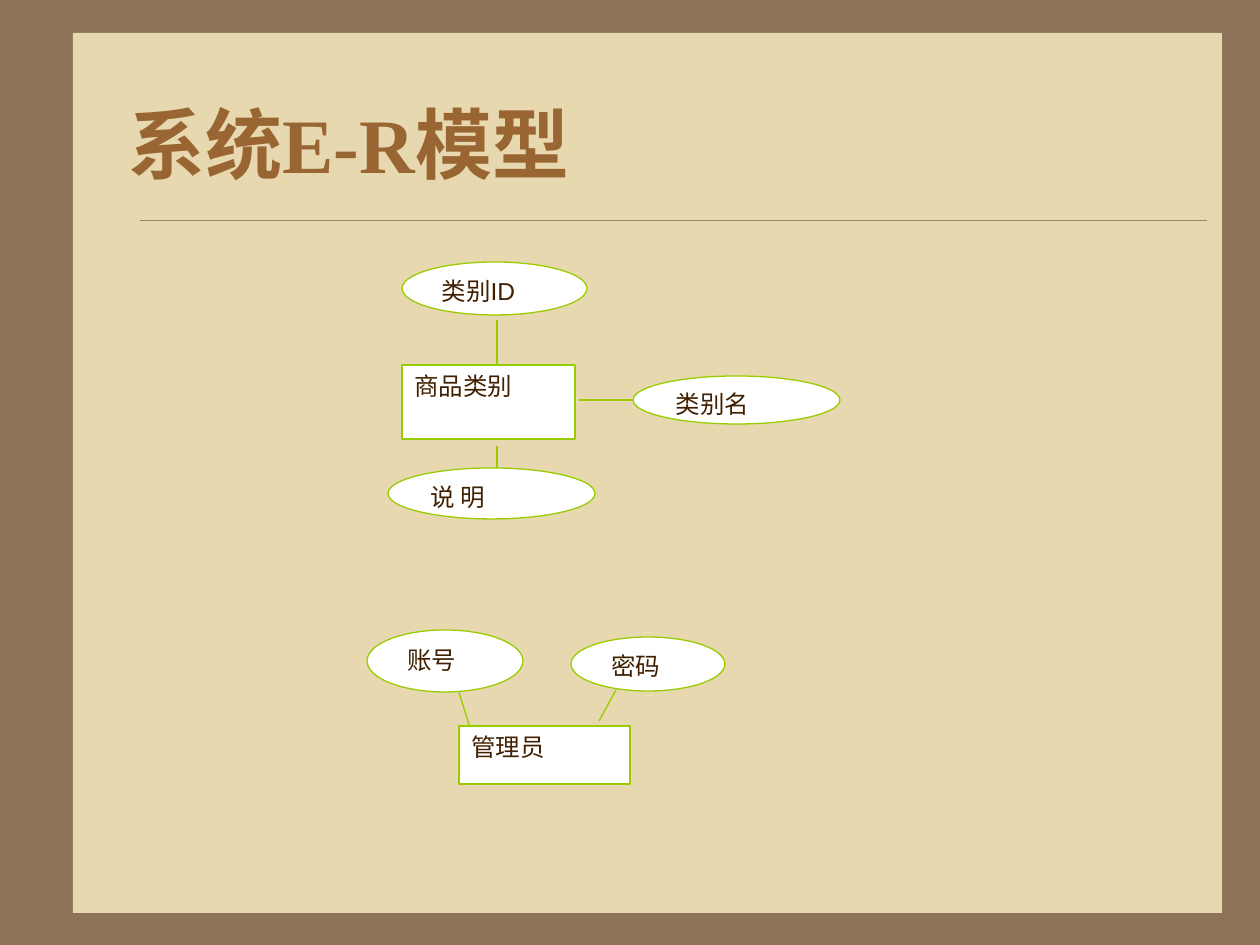
from dataclasses import dataclass

from lxml import etree
from pptx import Presentation
from pptx.dml.color import RGBColor
from pptx.enum.shapes import MSO_CONNECTOR, MSO_SHAPE
from pptx.enum.text import MSO_ANCHOR, MSO_AUTO_SIZE, PP_ALIGN
from pptx.oxml.ns import qn
from pptx.util import Emu, Pt

RECTANGLE, OVAL = MSO_SHAPE.RECTANGLE, MSO_SHAPE.OVAL
STRAIGHT = MSO_CONNECTOR.STRAIGHT
TOP, MIDDLE = MSO_ANCHOR.TOP, MSO_ANCHOR.MIDDLE
LEFT, JUSTIFY = PP_ALIGN.LEFT, PP_ALIGN.JUSTIFY
LEFT_SIDE = 1
EMU_PER_PX = 914400 / 126


@dataclass(frozen=True)
class Theme:
    frame: str = "8C735A"
    panel: str = "E7D8AF"
    divider: str = "A08366"
    title: str = "996633"
    node: str = "FFFFFF"
    outline: str = "99CC00"
    label: str = "402000"
    title_font: str = "Times New Roman"
    label_font: str = "Arial"
    title_size: float = 44
    label_size: float = 14
    outline_width: float = 0.75
    divider_width: float = 0.25


THEME = Theme()

TITLE = "系统E-R模型"
TITLE_BOX = (116, 73, 1074, 140)
PANEL_BOX = (73, 33, 1149, 880)
DIVIDER = (140, 220, 1207, 220)

# Label, (left, top, width, height) in px, extra left inset in px
ENTITIES = [
    ("商品类别", (402, 365, 173, 74), 0),
    ("管理员", (459, 726, 171, 58), 0),
]
ATTRIBUTES = [
    ("说 明", (388, 468, 207, 51), 0),
    ("类别名", (633, 376, 207, 48), 0),
    ("类别ID", (402, 262, 185, 53), 0),
    ("账号", (367, 630, 156, 62), 5),
    ("密码", (571, 637, 154, 54), 5),
]
# (x1, y1, x2, y2) in px, attribute whose left side the line joins
LINKS = [
    ((497, 320, 497, 365), None),
    ((497, 446, 497, 468), None),
    ((579, 400, 633, 400), "类别名"),
    ((459, 692, 469, 725), None),
    ((616, 690, 599, 721), None),
]


def px(*lengths):
    return [Emu(round(length * EMU_PER_PX)) for length in lengths]


def write_text(shape, text, *, font, size, color, bold=False,
               align=LEFT, anchor=TOP, indent=0):
    frame = shape.text_frame
    frame.word_wrap = True
    frame.auto_size = MSO_AUTO_SIZE.NONE
    frame.vertical_anchor = anchor
    frame.margin_left, frame.margin_right = px(12.6 + indent, 12.6)
    frame.margin_top, frame.margin_bottom = px(6.3, 6.3)
    para = frame.paragraphs[0]
    para.alignment = align
    span = para.add_run()
    span.text = text
    span.font.name = font
    span.font.size = Pt(size)
    span.font.bold = bold
    span.font.color.rgb = RGBColor.from_string(color)


def add_box(page, kind, bounds, fill, outline=None):
    box = page.shapes.add_shape(kind, *px(*bounds))
    box.shadow.inherit = False
    box.fill.solid()
    box.fill.fore_color.rgb = RGBColor.from_string(fill)
    if outline:
        box.line.color.rgb = RGBColor.from_string(outline)
        box.line.width = Pt(THEME.outline_width)
    else:
        box.line.fill.background()
    return box


def add_node(page, kind, label, bounds, indent):
    node = add_box(page, kind, bounds, THEME.node, THEME.outline)
    write_text(node, label, font=THEME.label_font, size=THEME.label_size,
               color=THEME.label, align=JUSTIFY, indent=indent)
    return node


def add_line(page, ends, color, width):
    line = page.shapes.add_connector(STRAIGHT, *px(*ends))
    line.line.color.rgb = RGBColor.from_string(color)
    line.line.width = Pt(width)
    etree.SubElement(line._element.spPr, qn("a:effectLst"))
    return line


def add_title(page):
    title = page.shapes.title
    title.left, title.top, title.width, title.height = px(*TITLE_BOX)
    write_text(title, TITLE, font=THEME.title_font, size=THEME.title_size,
               color=THEME.title, bold=True, anchor=MIDDLE)
    # The placeholder comes first, so bring it in front of the panel
    title._element.getparent().append(title._element)


def main():
    deck = Presentation()
    deck.slide_width, deck.slide_height = px(1260, 945)
    page = deck.slides.add_slide(deck.slide_layouts[5])
    page.background.fill.solid()
    page.background.fill.fore_color.rgb = RGBColor.from_string(THEME.frame)

    add_box(page, RECTANGLE, PANEL_BOX, THEME.panel)
    add_line(page, DIVIDER, THEME.divider, THEME.divider_width)
    for entity in ENTITIES:
        add_node(page, RECTANGLE, *entity)
    attributes = {entry[0]: add_node(page, OVAL, *entry)
                  for entry in ATTRIBUTES}
    for ends, target in LINKS:
        link = add_line(page, ends, THEME.outline, THEME.outline_width)
        if target:
            # An oval has eight sites; its left middle is number 2
            link.end_connect(attributes[target], LEFT_SIDE)
            link._element.find(".//" + qn("a:endCxn")).set("idx", "2")
            link.end_x, link.end_y = px(*ends[2:])
    add_title(page)
    deck.save("out.pptx")


if __name__ == "__main__":
    main()
